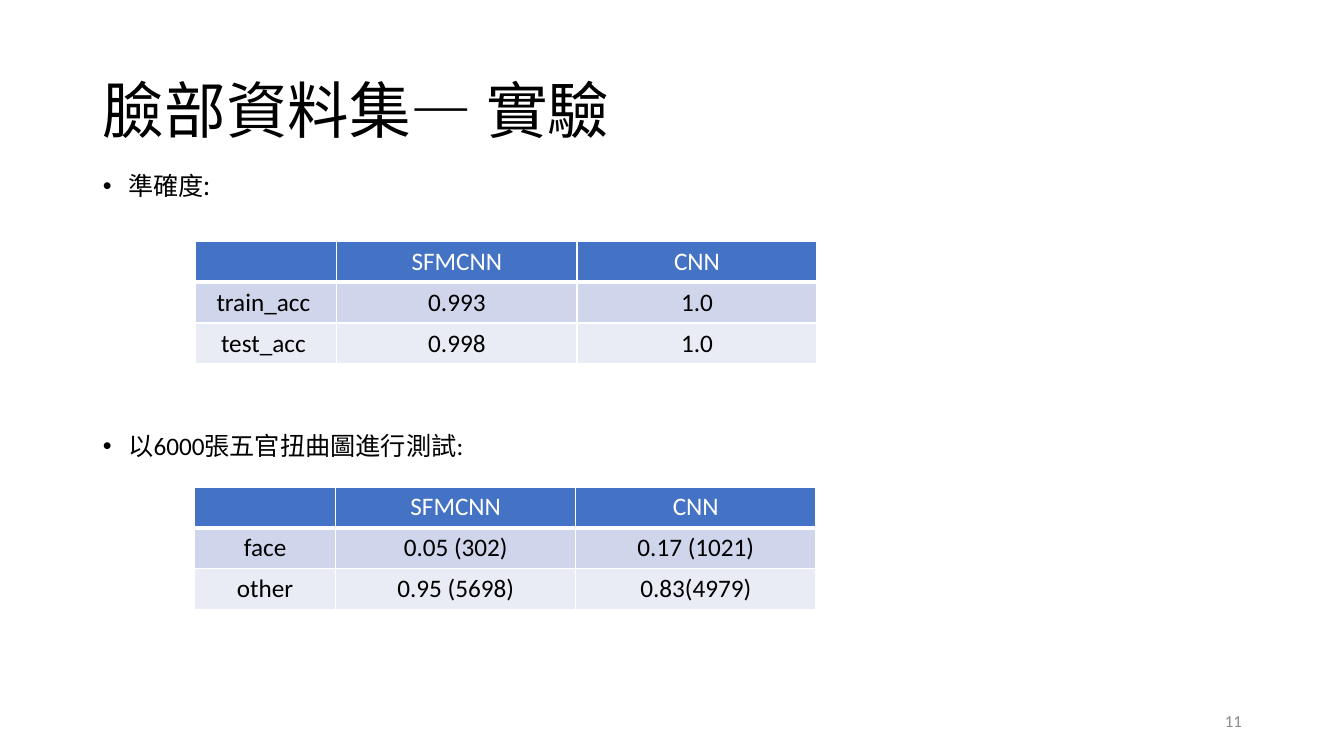
from lxml import etree
from pptx import Presentation
from pptx import util as u
from pptx.dml.color import RGBColor
from pptx.enum import text as t

HUES = {"ink": "000000", "white": "FFFFFF", "grey": "8C8C8C",
        "head": "4472C4", "odd": "CFD5EA", "even": "E9EBF5"}
NS = "http://schemas.openxmlformats.org/drawingml/2006/main"
LEFT, WIDE = 2.34, 29.21


def style(para, hue, size, face="Calibri", **form):
    """Format a paragraph and the font of its text."""
    for name, value in form.items():
        setattr(para, name, value)
    for run in para.runs:
        for name, value in {"size": u.Pt(size), "name": face, "bold": False}.items():
            setattr(run.font, name, value)
        run.font.color.rgb = RGBColor.from_string(HUES[hue])


def place(shape, *box):
    for name, value in zip(("left", "top", "width", "height"), box):
        setattr(shape, name, u.Cm(value))


deck = Presentation()
deck.slide_width, deck.slide_height = u.Cm(33.87), u.Cm(19.05)
slide = deck.slides.add_slide(deck.slide_layouts[3])

# Title
title = slide.shapes.title
place(title, LEFT, 1.01, WIDE, 3.68)
title.text_frame.text = "臉部資料集— 實驗"
title.text_frame.vertical_anchor = t.MSO_ANCHOR.MIDDLE
style(title.text_frame.paragraphs[0], "ink", 44,
      alignment=t.PP_ALIGN.LEFT, line_spacing=0.9)

# Bullets
points = [(1, "準確度:", 3.78, 6.32, "Noto Sans CJK SC"),
          (2, "以6000張五官扭曲圖進行測試:", 10.34, 6.83, "Calibri")]
for key, words, top, high, face in points:
    body = slide.placeholders[key]
    place(body, LEFT, top, WIDE, high)
    body.text_frame.text = words
    body.text_frame.auto_size = t.MSO_AUTO_SIZE.NONE
    para = body.text_frame.paragraphs[0]
    style(para, "ink", 18, face, line_spacing=1.5, space_before=u.Pt(10))
    props = para._p.get_or_add_pPr()
    props.set("marL", str(u.Cm(0.64)))
    props.set("indent", str(u.Cm(-0.64)))

# Tables
heads = ["", "SFMCNN", "CNN"]
grids = [
    (4.93, 6.08, [heads, ["train_acc ", "0.993", "1.0"],
                  ["test_acc ", "0.998", "1.0"]]),
    (4.9, 12.27, [heads, ["face", "0.05 (302)", "0.17 (1021)"],
                  ["other", "0.95 (5698)", "0.83(4979)"]]),
]
for left, top, rows in grids:
    frame = slide.shapes.add_table(3, 3, u.Cm(left), u.Cm(top), u.Cm(15.66), u.Cm(3.09))
    table = frame.table
    for col, wide in zip(table.columns, (3.56, 6.05, 6.05)):
        col.width = u.Cm(wide)
    for r, row in enumerate(rows):
        table.rows[r].height = u.Cm(1.03)
        for c, words in enumerate(row):
            cell = table.cell(r, c)
            cell.text = words
            style(cell.text_frame.paragraphs[0], "ink" if r else "white", 18,
                  alignment=t.PP_ALIGN.CENTER)
            props = cell._tc.get_or_add_tcPr()
            for side in "LRTB":
                thick = (r, side) in ((0, "B"), (1, "T"))
                line = etree.SubElement(props, f"{{{NS}}}ln{side}",
                                        w=str(u.Pt(3 if thick else 1)))
                fill = etree.SubElement(line, f"{{{NS}}}solidFill")
                etree.SubElement(fill, f"{{{NS}}}srgbClr", val=HUES["white"])
            cell.fill.solid()
            cell.fill.fore_color.rgb = RGBColor.from_string(
                HUES[("head", "odd", "even")[r]])

# Page number
page = slide.shapes.add_textbox(u.Cm(23.93), u.Cm(17.65), u.Cm(7.62), u.Cm(1.02))
page.text_frame.word_wrap = True
page.text_frame.vertical_anchor = t.MSO_ANCHOR.MIDDLE
page.text_frame.text = "11"
style(page.text_frame.paragraphs[0], "grey", 12, alignment=t.PP_ALIGN.RIGHT)

deck.save("out.pptx")
